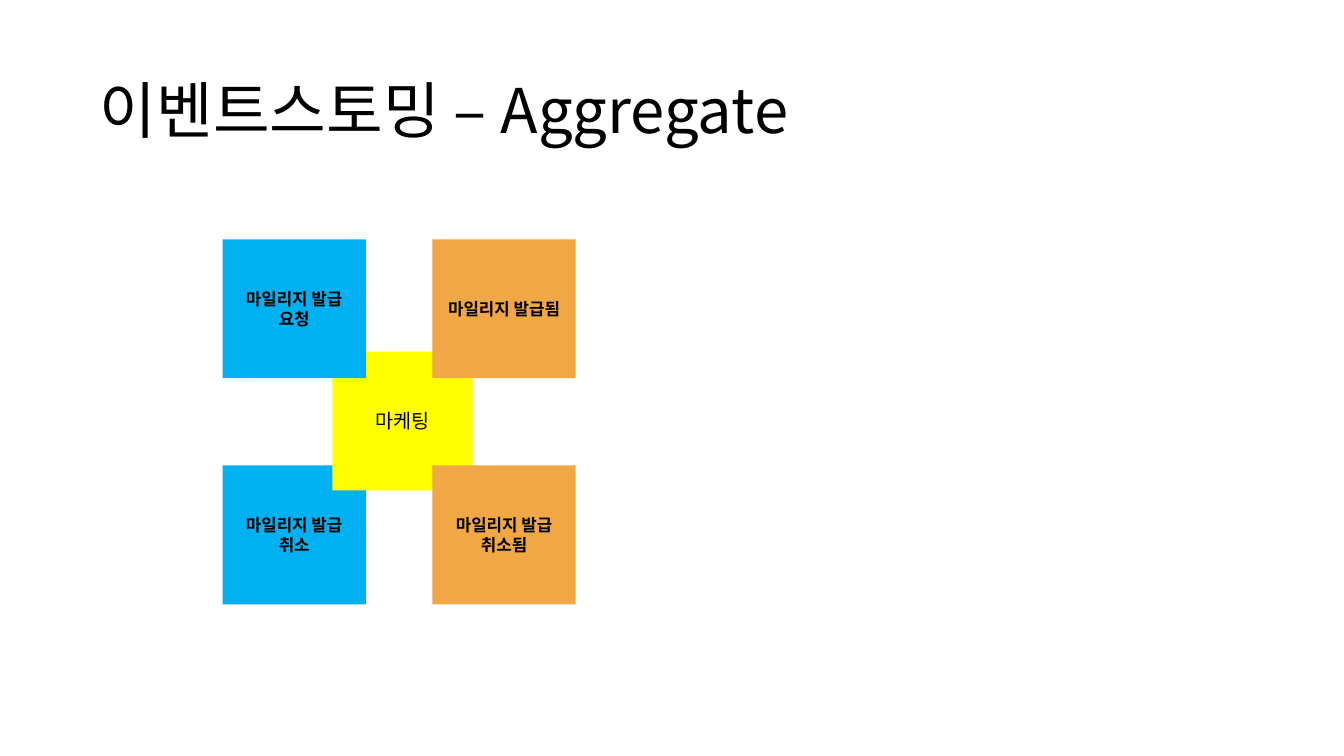
from lxml import etree
from pptx import Presentation
from pptx.dml.color import RGBColor
from pptx.enum.shapes import MSO_SHAPE
from pptx.enum.text import MSO_ANCHOR, MSO_AUTO_SIZE, PP_ALIGN
from pptx.oxml.ns import qn
from pptx.util import Cm, Pt

RECTANGLE = MSO_SHAPE.RECTANGLE
MIDDLE = MSO_ANCHOR.MIDDLE
NO_AUTOFIT = MSO_AUTO_SIZE.NONE
LEFT, CENTER = PP_ALIGN.LEFT, PP_ALIGN.CENTER

COLORS = {
    "text": "000000",
    "command": "00B0F0",
    "event": "F1A746",
    "aggregate": "FFFF00",
}
FONT = "Noto Sans CJK KR"
TITLE_ONLY = 5

NOTE_WIDTH, NOTE_HEIGHT = 3.61, 3.5
COLUMNS = {"command": 5.61, "event": 10.9}
ROWS = {"issue": 6.03, "cancel": 11.73}


class StickyBoard:
    """Holds the text style and the page being drawn; lengths are in cm."""

    def __init__(self, page):
        self.page = page

    def set_text(self, box, text, align, line_spacing=1.0, **font_format):
        frame = box.text_frame
        frame_format = {"word_wrap": True, "auto_size": NO_AUTOFIT,
                        "vertical_anchor": MIDDLE}
        for name, value in frame_format.items():
            setattr(frame, name, value)
        para = frame.paragraphs[0]
        para.alignment = align
        para.line_spacing = line_spacing
        span = para.add_run()
        span.text = text
        for name, value in {"name": FONT, **font_format}.items():
            setattr(span.font, name, value)
        span.font.color.rgb = RGBColor.from_string(COLORS["text"])
        # Hangul takes the East Asian typeface rather than the Latin one.
        properties = span._r.get_or_add_rPr()
        etree.SubElement(properties, qn("a:ea"), typeface=FONT)

    def title(self, text, left, top, width, height):
        box = self.page.shapes.title
        place = {"left": left, "top": top, "width": width, "height": height}
        for name, value in place.items():
            setattr(box, name, Cm(value))
        self.set_text(box, text, LEFT, line_spacing=0.9, size=Pt(44))

    def note(self, text, kind, left, top, width=NOTE_WIDTH,
             height=NOTE_HEIGHT, size=12, bold=True):
        box = self.page.shapes.add_shape(
            RECTANGLE, Cm(left), Cm(top), Cm(width), Cm(height))
        box.shadow.inherit = False
        box.fill.solid()
        box.fill.fore_color.rgb = RGBColor.from_string(COLORS[kind])
        box.line.fill.background()
        self.set_text(box, text, CENTER, size=Pt(size), bold=bold)

    def grid_note(self, text, kind, row):
        self.note(text, kind, COLUMNS[kind], ROWS[row])


def main():
    deck = Presentation()
    deck.slide_width, deck.slide_height = Cm(33.87), Cm(19.05)
    page = deck.slides.add_slide(deck.slide_layouts[TITLE_ONLY])
    board = StickyBoard(page)

    board.title("이벤트스토밍 – Aggregate", 2.26, 1.02, 29.21, 3.68)
    # The aggregate covers the cancel command and lies under the other notes.
    board.grid_note("마일리지 발급 취소", "command", "cancel")
    board.note("마케팅", "aggregate", 8.38, 8.86, width=3.53, size=14, bold=False)
    board.grid_note("마일리지 발급 취소됨", "event", "cancel")
    board.grid_note("마일리지 발급됨", "event", "issue")
    board.grid_note("마일리지 발급 요청", "command", "issue")

    deck.save("out.pptx")


if __name__ == "__main__":
    main()
